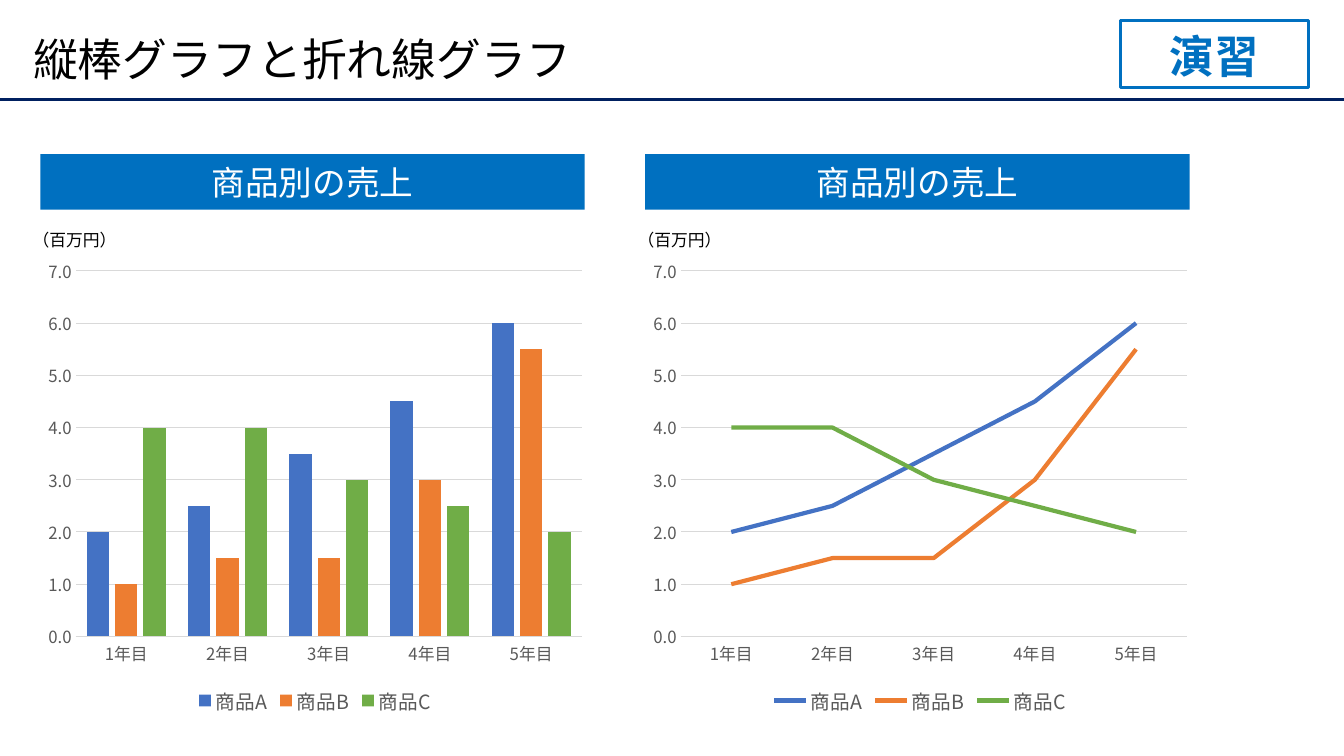
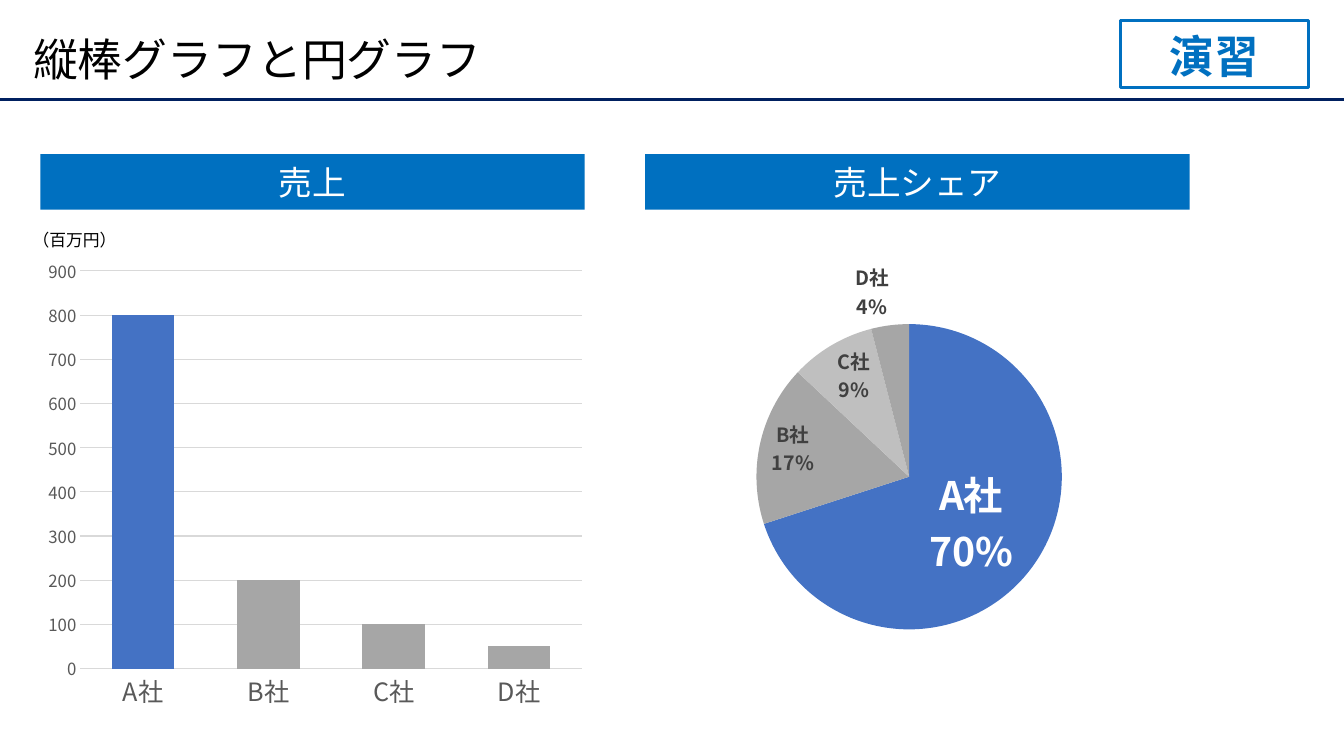
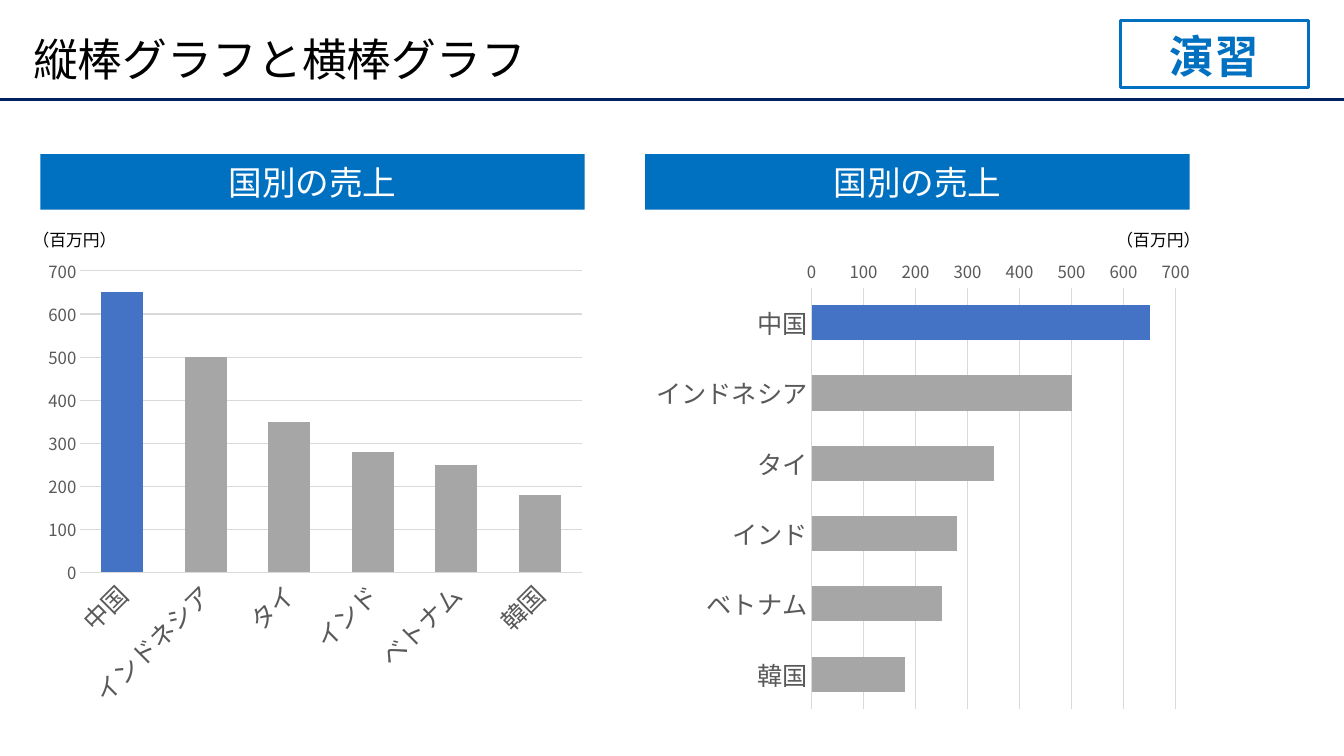
"""Build three exercise slides that compare pairs of chart types."""
from dataclasses import dataclass

from pptx import Presentation
from pptx import util as u
from pptx.chart import data as chart_data
from pptx.dml.color import RGBColor
from pptx.enum import chart as ch, shapes, text
from pptx.oxml import parse_xml
from pptx.oxml.ns import nsdecls, qn


@dataclass(frozen=True)
class Theme:
    font: str = "Noto Sans CJK JP"
    ink: str = "000000"
    white: str = "FFFFFF"
    rule: str = "002060"
    brand: str = "0070C0"
    axis_text: str = "595959"
    label_text: str = "404040"
    grid: str = "D9D9D9"
    accent: str = "4472C4"
    muted: str = "A6A6A6"
    pale: str = "BFBFBF"
    products: tuple = ("4472C4", "ED7D31", "70AD47")
    title_size: int = 32
    heading_size: int = 24
    share_size: int = 28
    name_size: int = 18
    legend_size: int = 14
    small_size: int = 12
    base_size: int = 10


theme = Theme()
COLUMN, LINE = ch.XL_CHART_TYPE.COLUMN_CLUSTERED, ch.XL_CHART_TYPE.LINE
PIE, BAR = ch.XL_CHART_TYPE.PIE, ch.XL_CHART_TYPE.BAR_CLUSTERED


def style(font, size, color, bold=False):
    font.name, font.size, font.bold = theme.font, u.Pt(size), bold
    font.color.rgb = RGBColor.from_string(color)


def write(shape, words, size, color, bold=False, align=text.PP_ALIGN.CENTER,
          anchor=text.MSO_ANCHOR.MIDDLE):
    frame = shape.text_frame
    frame.word_wrap, frame.vertical_anchor = True, anchor
    paragraph = frame.paragraphs[0]
    paragraph.alignment = align
    run = paragraph.add_run()
    run.text = words
    style(run.font, size, color, bold)
    return paragraph


years = ["1年目", "2年目", "3年目", "4年目", "5年目"]
product_sales = {"商品A": [2, 2.5, 3.5, 4.5, 6],
                 "商品B": [1, 1.5, 1.5, 3, 5.5],
                 "商品C": [4, 4, 3, 2.5, 2]}
firms = ["A社", "B社", "C社", "D社"]
countries = ["中国", "インドネシア", "タイ", "インド", "ベトナム", "韓国"]
country_sales = {"売上": [650, 500, 350, 280, 250, 180]}

by_product = dict(heading="商品別の売上", names=years, sales=product_sales, top=7, step=1,
                  format="0.0", shift=-0.03, unit=-0.21)
by_country = dict(heading="国別の売上", names=countries, sales=country_sales, top=700,
                  step=100, format="#,##0")
lessons = [
    ("縦棒グラフと折れ線グラフ", [dict(by_product, kind=COLUMN), dict(by_product, kind=LINE)]),
    ("縦棒グラフと円グラフ", [
        dict(heading="売上", kind=COLUMN, names=firms, sales={"売上": [800, 200, 100, 50]},
             top=900, step=100, format="#,##0", shift=-0.03, unit=-0.21),
        dict(heading="売上シェア", kind=PIE, names=firms, sales={"シェア": [70, 17, 9, 4]},
             plot=(0.2, 0.16, 0.55, 0.65), shift=0, unit=None)]),
    ("縦棒グラフと横棒グラフ", [
        dict(by_country, kind=COLUMN, shift=-0.03, unit=-0.21),
        dict(by_country, kind=BAR, shift=0, unit=4.54)]),
]

deck = Presentation()
deck.slide_width, deck.slide_height = u.Inches(13.33), u.Inches(7.5)

for title, panels in lessons:
    slide = deck.slides.add_slide(deck.slide_layouts[6])
    rule = slide.shapes.add_connector(shapes.MSO_CONNECTOR.STRAIGHT, 0, u.Inches(0.99),
                                      deck.slide_width, u.Inches(0.99))
    rule.line.color.rgb, rule.line.width = RGBColor.from_string(theme.rule), u.Pt(2.25)
    rule.element.spPr.append(parse_xml(f"<a:effectLst {nsdecls('a')}/>"))

    title_box = slide.shapes.add_textbox(u.Inches(0.23), u.Inches(0.2),
                                         u.Inches(12.6), u.Inches(0.84))
    write(title_box, title, theme.title_size, theme.ink,
          align=text.PP_ALIGN.LEFT).line_spacing = 0.9

    badge = slide.shapes.add_shape(shapes.MSO_SHAPE.RECTANGLE, u.Inches(11.11),
                                   u.Inches(0.2), u.Inches(1.87), u.Inches(0.67))
    badge.shadow.inherit = False
    badge.fill.background()
    badge.line.color.rgb, badge.line.width = RGBColor.from_string(theme.brand), u.Pt(2.25)
    write(badge, "演習", theme.title_size, theme.brand, True, anchor=text.MSO_ANCHOR.BOTTOM)

    for position, panel in enumerate(panels):
        left, kind = 0.4 + 6 * position, panel["kind"]
        heading = slide.shapes.add_shape(shapes.MSO_SHAPE.RECTANGLE, u.Inches(left),
                                         u.Inches(1.53), u.Inches(5.4), u.Inches(0.55))
        heading.shadow.inherit = False
        heading.fill.solid()
        heading.fill.fore_color.rgb = RGBColor.from_string(theme.brand)
        heading.line.fill.background()
        write(heading, panel["heading"], theme.heading_size, theme.white)

        if panel["unit"] is not None:
            unit = slide.shapes.add_textbox(u.Inches(left + panel["unit"]), u.Inches(2.23),
                                            u.Inches(1.1), u.Inches(0.3))
            write(unit, "（百万円）", theme.small_size, theme.ink)

        figures = chart_data.CategoryChartData()
        figures.categories = panel["names"]
        for name, values in panel["sales"].items():
            figures.add_series(name, values)
        chart = slide.shapes.add_chart(kind, u.Inches(left + panel["shift"]), u.Inches(2.47),
                                       u.Inches(5.51), u.Inches(4.66), figures).chart
        style(chart.font, theme.base_size, theme.ink)
        chart.has_title = False
        several = len(panel["sales"]) > 1
        chart.has_legend = several
        if several:
            chart.legend.position = ch.XL_LEGEND_POSITION.BOTTOM
            chart.legend.include_in_layout = False
            style(chart.legend.font, theme.legend_size, theme.axis_text)

        plot = chart.plots[0]
        plot.vary_by_categories = False
        if kind in (COLUMN, BAR):
            plot.gap_width = 100
        if kind == COLUMN:
            plot.overlap = -27

        for series, color in zip(plot.series, theme.products):
            if kind == LINE:
                series.smooth = False
                series.format.line.color.rgb = RGBColor.from_string(color)
                series.format.line.width = u.Pt(3)
                continue
            series.format.fill.solid()
            series.format.fill.fore_color.rgb = RGBColor.from_string(
                color if several else theme.muted)
        if not several:
            point_colors = [theme.accent]
            if kind == PIE:
                point_colors += [theme.muted, theme.pale, theme.muted]
            for index, color in enumerate(point_colors):
                fill = plot.series[0].points[index].format.fill
                fill.solid()
                fill.fore_color.rgb = RGBColor.from_string(color)

        if kind == PIE:
            plot_area = chart.element.xpath(".//c:plotArea")[0]
            for layout in plot_area.findall(qn("c:layout")):
                plot_area.remove(layout)
            extent = "".join(f'<c:{side} val="{share}"/>'
                             for side, share in zip("xywh", panel["plot"]))
            plot_area.insert(0, parse_xml(
                f'<c:layout {nsdecls("c")}><c:manualLayout><c:layoutTarget val="inner"/>'
                f'<c:xMode val="edge"/><c:yMode val="edge"/>{extent}'
                f'</c:manualLayout></c:layout>'))

            labels = plot.series[0].data_labels
            labels.show_value = False
            labels.show_percentage = labels.show_category_name = True
            labels.number_format, labels.number_format_is_linked = "0%", False
            labels.position = ch.XL_LABEL_POSITION.BEST_FIT
            style(labels.font, theme.legend_size, theme.label_text, True)
            leader = plot.series[0].points[0].data_label
            style(leader.font, theme.share_size, theme.white, True)
            leader.position = ch.XL_LABEL_POSITION.CENTER
            for flag, shown in (("showVal", 0), ("showCatName", 1), ("showPercent", 1)):
                chart.element.xpath(f".//c:dLbl/c:{flag}")[0].set("val", str(shown))
            for last_flag in chart.element.xpath(".//c:ser//c:showBubbleSize"):
                last_flag.addnext(parse_xml(f"<c:separator {nsdecls('c')}>\n</c:separator>"))
        else:
            names, amounts = chart.category_axis, chart.value_axis
            for axis in (names, amounts):
                axis.major_tick_mark = axis.minor_tick_mark = ch.XL_TICK_MARK.NONE
            style(names.tick_labels.font, theme.small_size if several else theme.name_size,
                  theme.axis_text)
            style(amounts.tick_labels.font, theme.small_size, theme.axis_text)
            amounts.has_major_gridlines = True
            for line in (names.format.line, amounts.major_gridlines.format.line):
                line.color.rgb, line.width = RGBColor.from_string(theme.grid), u.Pt(0.75)
            amounts.format.line.fill.background()
            amounts.minimum_scale, amounts.maximum_scale = 0, panel["top"]
            amounts.major_unit = panel["step"]
            amounts.tick_labels.number_format = panel["format"]
            amounts.tick_labels.number_format_is_linked = False
            names.reverse_order = kind == BAR
            chart.element.xpath(".//c:catAx/c:txPr/a:bodyPr")[0].set("rot", "-60000000")

        for latin in chart.element.xpath(".//a:latin"):
            latin.addnext(latin.makeelement(qn("a:ea"), {"typeface": theme.font}))

    for latin in slide.element.xpath(".//a:latin"):
        latin.addnext(latin.makeelement(qn("a:ea"), {"typeface": theme.font}))

deck.save("out.pptx")
